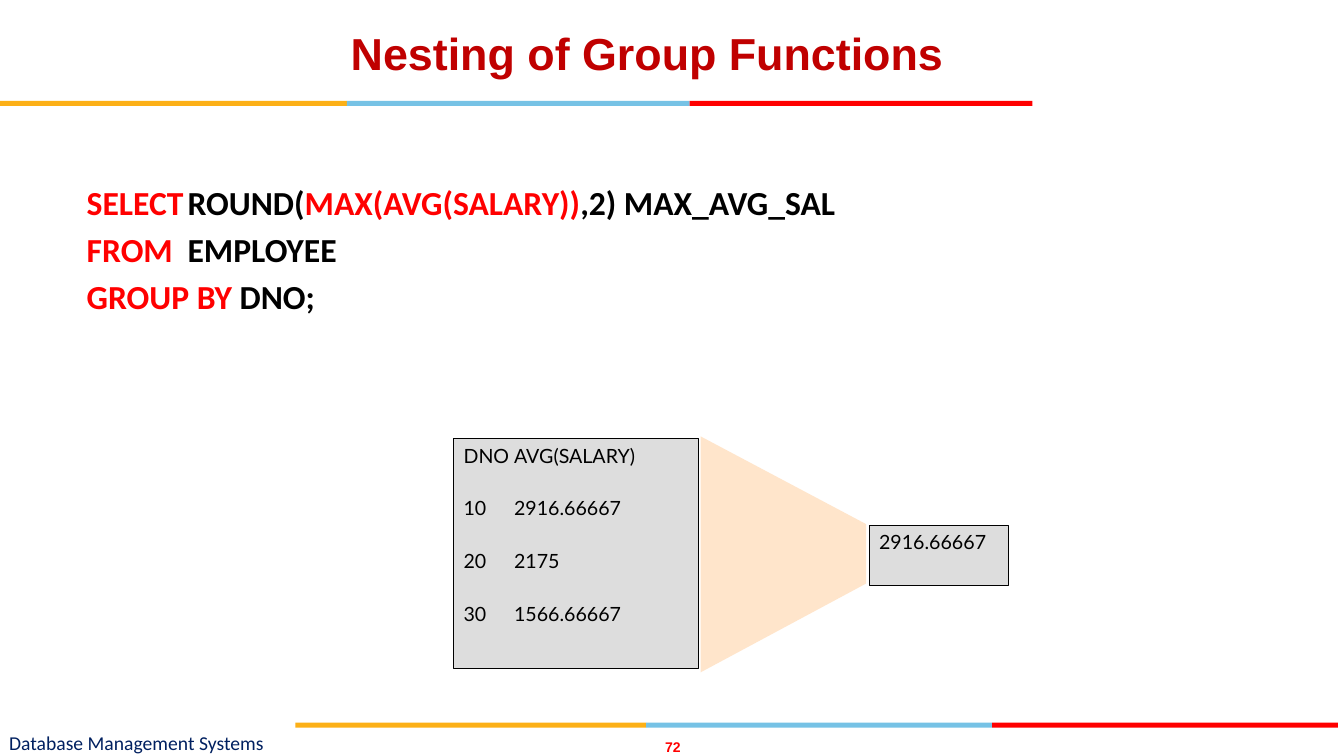
from dataclasses import dataclass

import lxml.etree
import pptx
import pptx.dml.color
import pptx.enum.shapes
import pptx.enum.text
import pptx.oxml.ns
import pptx.util

PX = 9144
ALIGN = pptx.enum.text.PP_ALIGN
ANCHOR = pptx.enum.text.MSO_ANCHOR


@dataclass(frozen=True)
class Theme:
    """Colours, fonts and type sizes of the slide."""
    title: str = "C00000"
    keyword: str = "FF0000"
    ink: str = "000000"
    footer: str = "002060"
    panel: str = "DDDDDD"
    funnel: str = "FFCC99"
    stripes: tuple = ("FCB017", "76C2E5", "FF0000")
    heading_font: str = "Arial"
    body_font: str = "Calibri"
    result_font: str = "Lato"
    title_size: int = 32
    query_size: int = 24
    small_size: int = 14
    number_size: int = 10


THEME = Theme()


def px(*lengths):
    """Turn pixel lengths into EMU."""
    return [pptx.util.Emu(length * PX) for length in lengths]


def rgb(value):
    """Make a colour from its hexadecimal value."""
    return pptx.dml.color.RGBColor.from_string(value)


def add_element(parent, tag, **attributes):
    """Append a drawing element to a parent element."""
    return lxml.etree.SubElement(parent, pptx.oxml.ns.qn(tag), **attributes)


def write_text(paragraph, text, *, font, size, color=THEME.ink, bold=False,
               align=ALIGN.LEFT, before=0, tab=None):
    """Write text, or (text, colour) pairs, into a paragraph."""
    properties = paragraph._p.get_or_add_pPr()
    properties.set("marL", "0")
    properties.set("indent", "0")
    add_element(properties, "a:buNone")
    if tab:
        stops = add_element(properties, "a:tabLst")
        add_element(stops, "a:tab", pos=str(tab * PX), algn="l")
    paragraph.alignment = align
    paragraph.space_before = pptx.util.Pt(before)
    paragraph.space_after = pptx.util.Pt(0)
    pieces = [(text, color)] if isinstance(text, str) else text
    for words, ink in pieces:
        run = paragraph.add_run()
        run.text = words
        run.font.name = font
        run.font.size = pptx.util.Pt(size)
        run.font.bold = bold
        run.font.color.rgb = rgb(ink)


def write_lines(frame, lines, *, gap=0, **text_format):
    """Write (text, tab) lines as paragraphs, a gap before all but the first."""
    for index, (text, tab) in enumerate(lines):
        paragraph = frame.add_paragraph() if index else frame.paragraphs[0]
        write_text(paragraph, text, tab=tab, before=gap if index else 0, **text_format)


def set_frame(frame, anchor=ANCHOR.TOP, side=10, edge=5):
    """Set wrapping, anchor and insets of a text frame."""
    frame.word_wrap = True
    frame.auto_size = pptx.enum.text.MSO_AUTO_SIZE.NONE
    frame.vertical_anchor = anchor
    frame.margin_left, frame.margin_right = px(side, side)
    frame.margin_top, frame.margin_bottom = px(edge, edge)


def place(shape, left, top, width, height):
    """Move and size a placeholder."""
    shape.left, shape.top, shape.width, shape.height = px(left, top, width, height)
    return shape.text_frame


def add_box(slide, left, top, width, height, fill):
    """Add a plain filled rectangle without an outline."""
    shape = slide.shapes.add_shape(
        pptx.enum.shapes.MSO_SHAPE.RECTANGLE, *px(left, top, width, height))
    shape.shadow.inherit = False
    shape.fill.solid()
    shape.fill.fore_color.rgb = rgb(fill)
    shape.line.fill.background()
    return shape


def add_stripes(slide, left, top, first, other):
    """Add a three-coloured rule whose first part is the longest."""
    for width, color in zip((first, other, other), THEME.stripes):
        add_box(slide, left, top, width, 5, color)
        left += width


def add_label(slide, left, top, width, height, text, **text_format):
    """Add a small text box without insets."""
    box = slide.shapes.add_textbox(*px(left, top, width, height))
    set_frame(box.text_frame, ANCHOR.MIDDLE, 0, 0)
    write_text(box.text_frame.paragraphs[0], text, **text_format)


def add_result(slide, left, top, width, height, lines):
    """Add an outlined panel of query results."""
    panel = add_box(slide, left, top, width, height, THEME.panel)
    panel.line.color.rgb = rgb(THEME.ink)
    panel.line.width = pptx.util.Pt(0.5)
    set_frame(panel.text_frame)
    write_lines(panel.text_frame, lines, gap=20.8,
                font=THEME.result_font, size=THEME.small_size)


def add_funnel(slide, left, right, wide, narrow):
    """Add a translucent funnel between two (top, bottom) spans."""
    builder = slide.shapes.build_freeform(left, wide[1], scale=PX)
    builder.add_line_segments(
        [(left, wide[0]), (right, narrow[0]), (right, narrow[1])], close=True)
    funnel = builder.convert_to_shape()
    funnel.shadow.inherit = False
    funnel.line.fill.background()
    funnel.fill.solid()
    funnel.fill.fore_color.rgb = rgb(THEME.funnel)
    color = funnel._element.spPr.find(".//" + pptx.oxml.ns.qn("a:srgbClr"))
    add_element(color, "a:alpha", val="50000")


def main():
    """Build and save the slide."""
    presentation = pptx.Presentation()
    presentation.slide_width, presentation.slide_height = px(1333, 750)
    slide = presentation.slides.add_slide(presentation.slide_layouts[1])

    add_stripes(slide, 0, 100, 344, 340)
    add_stripes(slide, 293, 717, 348, 343)
    add_label(slide, 651, 733, 33, 17, "72", font=THEME.heading_font,
              size=THEME.number_size, color=THEME.keyword, bold=True, align=ALIGN.CENTER)
    add_label(slide, 9, 723, 496, 27, "Database Management Systems",
              font=THEME.body_font, size=THEME.small_size, color=THEME.footer)

    title = place(slide.shapes.title, 67, 21, 1150, 145)
    set_frame(title)
    write_text(title.paragraphs[0], "Nesting of Group Functions", font=THEME.heading_font,
               size=THEME.title_size, color=THEME.title, bold=True, align=ALIGN.CENTER)

    query = place(slide.placeholders[1], 67, 175, 1200, 495)
    set_frame(query, side=19)
    red, black = THEME.keyword, THEME.ink
    write_lines(query, [
        ([("SELECT", red), ("\tROUND(", black), ("MAX(AVG(SALARY))", red),
          (",2) MAX_AVG_SAL", black)], 118),
        ([("FROM", red), ("\tEMPLOYEE", black)], 122),
        ([("GROUP BY ", red), ("DNO;", black)], None),
    ], gap=4.8, font=THEME.body_font, size=THEME.query_size, bold=True)

    add_funnel(slide, 695, 859, (433, 667), (520, 579))
    averages = [("10", "2916.66667"), ("20", "2175"), ("30", "1566.66667")]
    add_result(slide, 450, 435, 243, 228, [("DNO\tAVG(SALARY)", 60)] + [
        (f"{number}\t{average}", 100) for number, average in averages])
    add_result(slide, 862, 521, 138, 60, [("2916.66667", None)])

    presentation.save("out.pptx")


if __name__ == "__main__":
    main()
